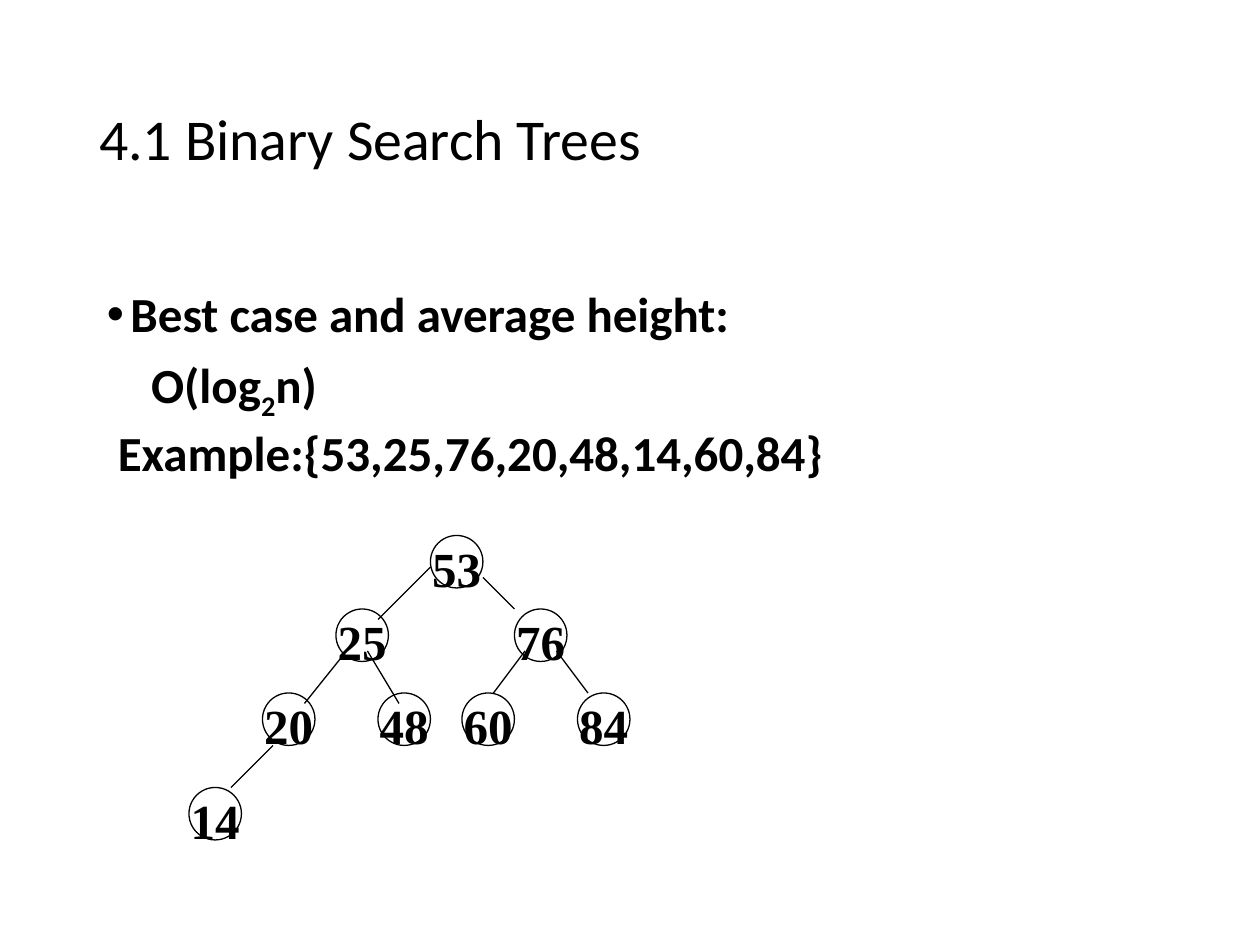
import pptx
import pptx.dml.color
import pptx.enum.shapes
import pptx.enum.text
import pptx.oxml.ns
import pptx.util
from lxml import etree

Pt = pptx.util.Pt
BLACK = pptx.dml.color.RGBColor(0, 0, 0)
HEADING_FONT = "Calibri"
NODE_FONT = "Times New Roman"
NODE_SIZE = 30

# Top-left corner of each tree node
NODES = {
    "53": (246, 306),
    "25": (192, 348), "76": (294, 348),
    "20": (150, 396), "48": (216, 396), "60": (264, 396), "84": (330, 396),
    "14": (108, 450),
}

# Ends of each tree edge, parent first
EDGES = [
    (246, 324, 216, 354), (276, 330, 294, 348),
    (198, 372, 174, 402), (210, 372, 228, 402),
    (300, 372, 282, 396), (318, 372, 336, 396),
    (156, 426, 132, 450),
]

# Body lines: left margin, first-line indent, bullet, runs (text, subscript)
BODY = [
    (13.5, -13.5, "•", [("Best case and average height:", False)]),
    (25.3, 0, None, [("O(log", False), ("2", True), ("n)", False)]),
    (6.3, 0, None, [("Example:{53,25,76,20,48,14,60,84}", False)]),
]


class SlideBuilder:
    def __init__(self, slide):
        self.slide = slide

    def style_run(self, run, font_name, size, bold=False):
        run.font.name = font_name
        run.font.size = Pt(size)
        run.font.bold = bold
        run.font.color.rgb = BLACK

    def text_box(self, left, top, width, height):
        shape = self.slide.shapes.add_textbox(Pt(left), Pt(top), Pt(width), Pt(height))
        shape.text_frame.word_wrap = True
        return shape.text_frame

    def title(self, text, *box):
        text_frame = self.text_box(*box)
        text_frame.vertical_anchor = pptx.enum.text.MSO_ANCHOR.MIDDLE
        text_frame.text = text
        paragraph = text_frame.paragraphs[0]
        paragraph.line_spacing = 0.9
        self.style_run(paragraph.runs[0], HEADING_FONT, 33)

    def body(self, lines, *box):
        text_frame = self.text_box(*box)
        for index, (margin, indent, bullet, runs) in enumerate(lines):
            paragraph = text_frame.add_paragraph() if index else text_frame.paragraphs[0]
            paragraph.line_spacing = 0.9
            if index:
                paragraph.space_before = Pt(7.5)
            properties = paragraph._p.get_or_add_pPr()
            properties.set("marL", str(Pt(margin)))
            properties.set("indent", str(Pt(indent)))
            if bullet:
                font = etree.SubElement(properties, pptx.oxml.ns.qn("a:buFont"))
                font.set("typeface", "Arial")
                character = etree.SubElement(properties, pptx.oxml.ns.qn("a:buChar"))
                character.set("char", bullet)
            for text, subscript in runs:
                run = paragraph.add_run()
                run.text = text
                self.style_run(run, HEADING_FONT, 28, bold=True)
                if subscript:
                    run.font._element.set("baseline", "-25000")

    def node(self, text, left, top):
        shape = self.slide.shapes.add_shape(
            pptx.enum.shapes.MSO_SHAPE.OVAL,
            Pt(left), Pt(top), Pt(NODE_SIZE), Pt(NODE_SIZE))
        shape.shadow.inherit = False
        shape.fill.background()
        shape.line.color.rgb = BLACK
        shape.line.width = Pt(0.75)
        text_frame = shape.text_frame
        text_frame.word_wrap = False
        text_frame.vertical_anchor = pptx.enum.text.MSO_ANCHOR.MIDDLE
        text_frame.margin_top = Pt(10.6)
        text_frame.margin_bottom = Pt(3.6)
        text_frame.text = text
        paragraph = text_frame.paragraphs[0]
        paragraph.alignment = pptx.enum.text.PP_ALIGN.CENTER
        self.style_run(paragraph.runs[0], NODE_FONT, 28, bold=True)

    def edge(self, *ends):
        connector = self.slide.shapes.add_connector(
            pptx.enum.shapes.MSO_CONNECTOR.STRAIGHT, *map(Pt, ends))
        connector.line.color.rgb = BLACK
        connector.line.width = Pt(0.75)
        etree.SubElement(connector._element.spPr, pptx.oxml.ns.qn("a:effectLst"))


def main():
    presentation = pptx.Presentation()
    presentation.slide_width = Pt(720)
    presentation.slide_height = Pt(540)
    builder = SlideBuilder(presentation.slides.add_slide(presentation.slide_layouts[6]))

    # Heading and text
    builder.title("4.1 Binary Search Trees", 49.5, 28.8, 621.5, 104.4)
    builder.body(BODY, 54, 162, 612, 360)

    # Binary search tree
    for text, (left, top) in NODES.items():
        builder.node(text, left, top)
    for ends in EDGES:
        builder.edge(*ends)

    presentation.save("out.pptx")


if __name__ == "__main__":
    main()
